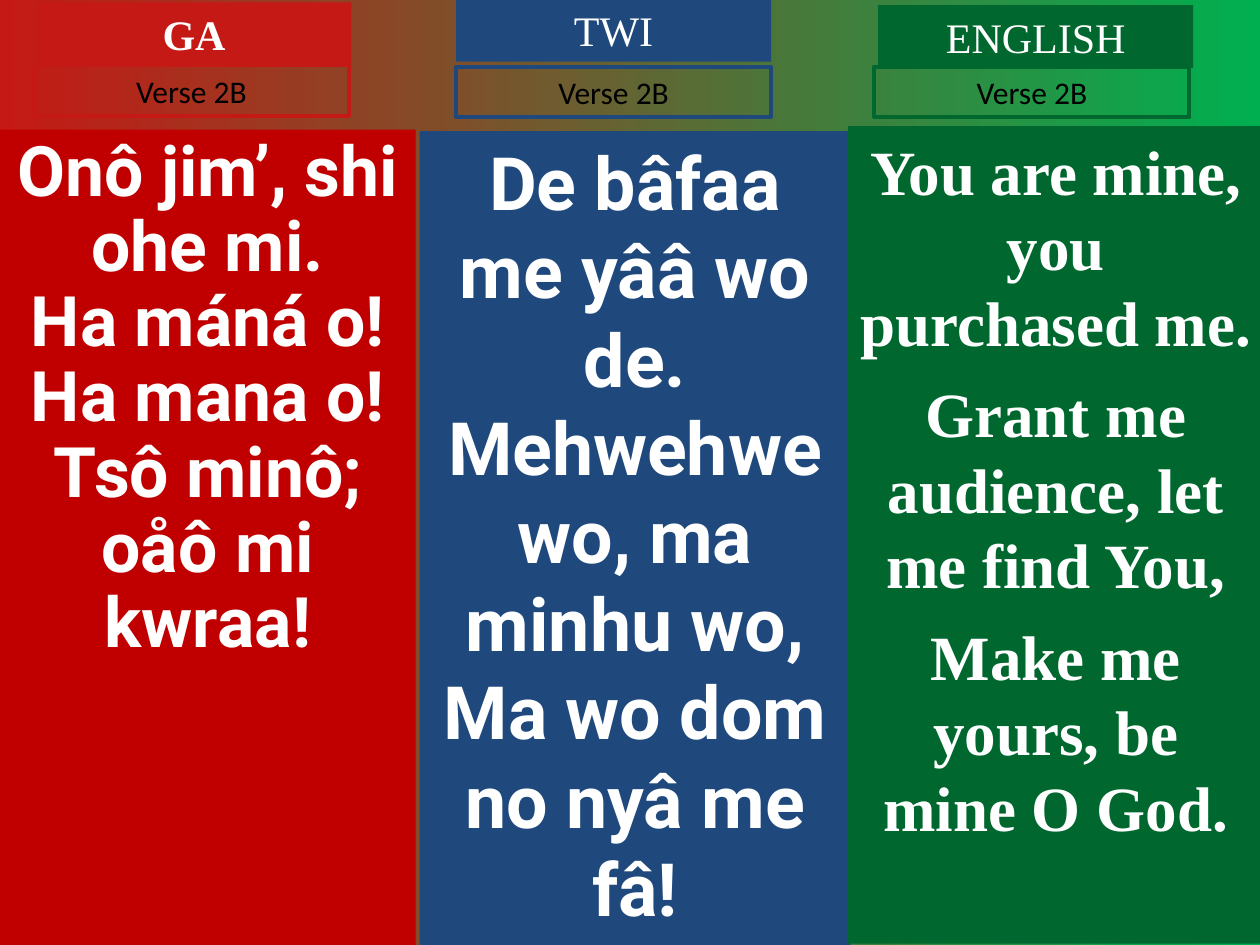
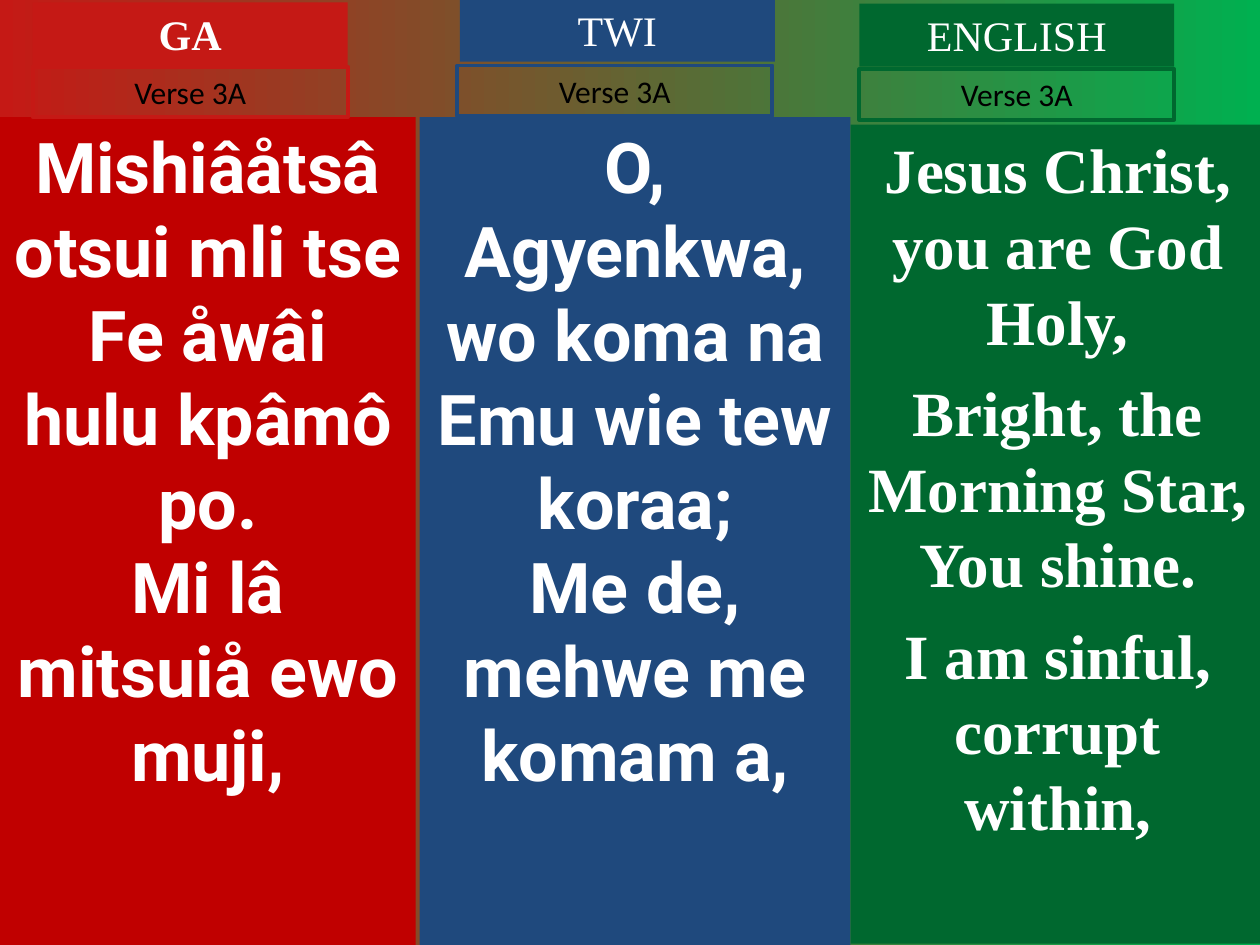
from pptx import Presentation
from pptx.dml.color import RGBColor
from pptx.enum import shapes, text
from pptx.util import Inches, Pt

WHITE, BLACK = "FFFFFF", "000000"
RED, BLUE, GREEN = "C51915", "1F497D", "00682F"
SERIF, SANS, LABEL = "Times New Roman", "Roboto", "Calibri"

LANGUAGES = {
    "GA": {"band": RED, "column": "C00000", "font": SANS, "bold": True, "gap": 0},
    "TWI": {"band": BLUE, "column": BLUE, "font": SANS, "bold": False, "gap": 0},
    "ENGLISH": {"band": GREEN, "column": GREEN, "font": SERIF, "bold": False, "gap": 9},
}

VERSES = [
    ("Verse 2B", {
        "GA": {
            "column": (0, 1.03, 3.3, 6.47), "title": (0.29, 0.02), "verse": (0.27, 0.52),
            "size": 39.8, "spacing": 0.9,
            "lines": ["Onô jim’, shi ohe mi.", "Ha máná o! Ha mana o!",
                      "Tsô minô; oåô mi kwraa!"]},
        "TWI": {
            "column": (3.33, 1.04, 3.42, 6.46), "title": (3.62, -0.01), "verse": (3.62, 0.53),
            "size": 42,
            "lines": ["De bâfaa me yââ wo de.", "Mehwehwe wo, ma minhu wo,",
                      "Ma wo dom no nyâ me fâ!"]},
        "ENGLISH": {
            "column": (6.73, 1, 3.3, 6.49), "title": (6.97, 0.04), "verse": (6.94, 0.53),
            "size": 36,
            "lines": ["You are mine, you purchased me.",
                      "Grant me audience, let me find You,",
                      "Make me yours, be mine O God."]},
    }),
    ("Verse 3A", {
        "GA": {
            "column": (0, 0.93, 3.3, 6.57), "title": (0.26, 0.02), "verse": (0.26, 0.53),
            "size": 40,
            "lines": ["Mishiâåtsâ otsui mli tse", "Fe åwâi hulu kpâmô po.",
                      "Mi lâ mitsuiå ewo muji,"]},
        "TWI": {
            "column": (3.33, 0.93, 3.42, 6.57), "title": (3.65, -0.01), "verse": (3.63, 0.52),
            "size": 40,
            "lines": ["O, Agyenkwa, wo koma na", "Emu wie tew koraa;",
                      "Me de, mehwe me komam a,"]},
        "ENGLISH": {
            "column": (6.75, 0.99, 3.29, 6.5), "title": (6.82, 0.03), "verse": (6.82, 0.55),
            "size": 36,
            "lines": ["Jesus Christ, you are God Holy,",
                      "Bright, the Morning Star, You shine.",
                      "I am sinful, corrupt within,"]},
    }),
]


def rgb(value):
    return RGBColor.from_string(value)


def paint_background(s):
    fill = s.background.fill
    fill.gradient()
    fill.gradient_angle = 0
    for stop, color in zip(fill.gradient_stops, (RED, "00B050")):
        stop.color.rgb = rgb(color)


def add_box(s, box, lines, font, size, color, bold=False, fill=None, line=None):
    sp = s.shapes.add_shape(shapes.MSO_SHAPE.RECTANGLE, *map(Inches, box))
    sp.shadow.inherit = False
    if fill:
        sp.fill.solid()
        sp.fill.fore_color.rgb = rgb(fill)
    else:
        sp.fill.background()
    if line:
        sp.line.color.rgb = rgb(line)
        sp.line.width = Pt(2.25)
    else:
        sp.line.fill.background()
    tf = sp.text_frame
    tf.word_wrap = True
    tf.vertical_anchor = text.MSO_ANCHOR.TOP
    tf.text = "\n".join(lines)
    for p in tf.paragraphs:
        p.alignment = text.PP_ALIGN.CENTER
        for r in p.runs:
            r.font.name = font
            r.font.size = Pt(size)
            r.font.bold = bold
            r.font.color.rgb = rgb(color)
    return tf


def add_lyrics(s, style, part):
    tf = add_box(s, part["column"], part["lines"], style["font"], part["size"],
                 WHITE, bold=True, fill=style["column"])
    for i, p in enumerate(tf.paragraphs):
        p.line_spacing = part.get("spacing", 1.0)
        if i:
            p.space_before = Pt(style["gap"])


def add_title(s, language, style, corner):
    tf = add_box(s, (*corner, 2.5, 0.5), [language], SERIF, 24, WHITE,
                 bold=style["bold"], fill=style["band"])
    tf.auto_size = text.MSO_AUTO_SIZE.SHAPE_TO_FIT_TEXT


def add_verse_label(s, verse, style, corner):
    tf = add_box(s, (*corner, 2.5, 0.4), [verse], LABEL, 18, BLACK, line=style["band"])
    tf.auto_size = text.MSO_AUTO_SIZE.SHAPE_TO_FIT_TEXT


def main():
    prs = Presentation()
    prs.slide_width, prs.slide_height = Inches(10), Inches(7.5)
    for verse, parts in VERSES:
        s = prs.slides.add_slide(prs.slide_layouts[6])
        paint_background(s)
        for language, part in parts.items():
            style = LANGUAGES[language]
            add_lyrics(s, style, part)
            add_title(s, language, style, part["title"])
            add_verse_label(s, verse, style, part["verse"])
    prs.save("out.pptx")


if __name__ == "__main__":
    main()
